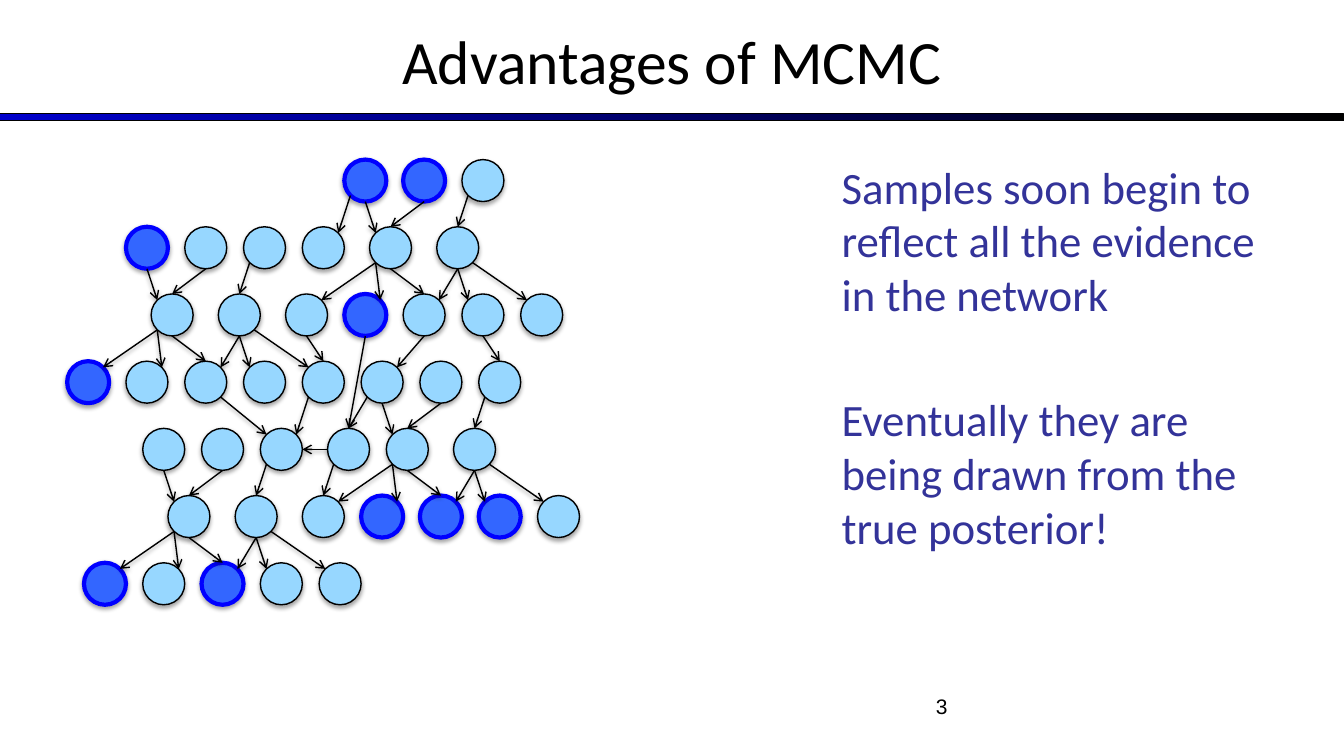
import pptx
import pptx.dml.color
import pptx.enum.shapes
import pptx.enum.text
import pptx.oxml
import pptx.oxml.ns
import pptx.util
from pptx.util import Cm

COLORS = {
    "black": "000000",
    "bar_start": "0000CC",
    "body": "333399",
    "evidence": "3366FF",
    "evidence_line": "0000FF",
    "hidden": "97D7FF",
}

# The network lies on a grid of twelve units to the inch.
UNIT = 2.54 / 12
DIAMETER = 5
FIRST_TOP = 19
ROW_STEP = 8
ROW_LEFTS = [
    [41, 48, 55],
    [15, 22, 29, 36, 44, 52],
    [18, 26, 34, 41, 48, 55, 62],
    [8, 15, 22, 29, 36, 43, 50, 57],
    [17, 24, 31, 39, 46, 54],
    [20, 28, 36, 43, 50, 57, 64],
    [10, 17, 24, 31, 38],
]
EVIDENCE = {(0, 0), (0, 1), (1, 0), (2, 3), (3, 0),
            (5, 3), (5, 4), (5, 5), (6, 0), (6, 2)}

# Points on a node's rim, in radii from its centre.
DIAGONAL = 0.71
PORTS = {
    "T": (0, -1), "B": (0, 1), "L": (-1, 0), "R": (1, 0),
    "TL": (-DIAGONAL, -DIAGONAL), "TR": (DIAGONAL, -DIAGONAL),
    "BL": (-DIAGONAL, DIAGONAL), "BR": (DIAGONAL, DIAGONAL),
}

# Per row: parent column, its port, child column in the next row, its port.
EDGES_DOWN = [
    [(0, "BL", 3, "TR"), (0, "B", 4, "TL"), (1, "B", 4, "T"), (2, "BL", 5, "T")],
    [(0, "B", 0, "TL"), (1, "B", 0, "T"), (2, "BL", 1, "T"),
     (4, "BL", 2, "TR"), (4, "BL", 3, "TR"), (4, "B", 4, "T"),
     (5, "B", 5, "TL"), (5, "BR", 6, "TL"), (5, "B", 4, "TR")],
    [(0, "BL", 0, "TR"), (0, "BL", 1, "TR"), (0, "B", 2, "T"),
     (1, "B", 3, "TL"), (1, "BR", 4, "TL"), (1, "B", 2, "TR"),
     (2, "B", 4, "T"), (4, "B", 5, "TR"), (5, "B", 7, "T")],
    [(5, "B", 4, "TL"), (6, "B", 4, "T"), (7, "BL", 5, "T"),
     (4, "BL", 2, "TR"), (2, "BR", 2, "TL"), (5, "BL", 3, "T")],
    [(0, "B", 0, "TL"), (1, "B", 0, "T"), (2, "BL", 1, "T"), (3, "BL", 2, "T"),
     (4, "BL", 2, "TR"), (4, "BL", 3, "TR"), (4, "B", 4, "T"),
     (5, "B", 5, "TL"), (5, "BR", 6, "TL"), (5, "B", 4, "TR")],
    [(0, "BL", 0, "TR"), (0, "BL", 1, "TR"), (0, "B", 2, "T"),
     (1, "B", 3, "TL"), (1, "BR", 4, "TL"), (1, "B", 2, "TR")],
]
OTHER_EDGES = [
    ((2, 3), "B", (4, 3), "T"),
    ((4, 3), "L", (4, 2), "R"),
]


def rgb(name):
    return pptx.dml.color.RGBColor.from_string(COLORS[name])


def set_line(line, color, width):
    line.color.rgb = rgb(color)
    line.width = pptx.util.Pt(width)


def add_shadow(shape, opacity, distance):
    """Put a soft shadow below a shape or connector whose line is already set."""
    properties = shape._element.spPr
    for old_effects in properties.findall(pptx.oxml.ns.qn("a:effectLst")):
        properties.remove(old_effects)
    properties.append(pptx.oxml.parse_xml(
        f'<a:effectLst {pptx.oxml.ns.nsdecls("a")}>'
        f'<a:outerShdw blurRad="{pptx.util.Pt(3.1)}" dist="{pptx.util.Pt(distance)}"'
        ' dir="5400000" rotWithShape="0">'
        f'<a:srgbClr val="{COLORS["black"]}"><a:alpha val="{opacity * 1000}"/></a:srgbClr>'
        '</a:outerShdw></a:effectLst>'))


def node_corner(node):
    row, column = node
    return ROW_LEFTS[row][column], FIRST_TOP + row * ROW_STEP


def port_position(node, port):
    radius = DIAMETER / 2
    return [Cm((corner + radius + offset * radius) * UNIT)
            for corner, offset in zip(node_corner(node), PORTS[port])]


def add_node(slide, node):
    left, top = node_corner(node)
    shape = slide.shapes.add_shape(
        pptx.enum.shapes.MSO_SHAPE.OVAL, Cm(left * UNIT), Cm(top * UNIT),
        Cm(DIAMETER * UNIT), Cm(DIAMETER * UNIT))
    is_evidence = node in EVIDENCE
    shape.fill.solid()
    shape.fill.fore_color.rgb = rgb("evidence" if is_evidence else "hidden")
    if is_evidence:
        set_line(shape.line, "evidence_line", 3)
    else:
        set_line(shape.line, "black", 1)
    add_shadow(shape, 35, 1.8)


def add_edge(slide, parent, parent_port, child, child_port):
    connector = slide.shapes.add_connector(
        pptx.enum.shapes.MSO_CONNECTOR.STRAIGHT,
        *port_position(parent, parent_port), *port_position(child, child_port))
    set_line(connector.line, "black", 1)
    connector.line._get_or_add_ln().append(pptx.oxml.parse_xml(
        f'<a:tailEnd {pptx.oxml.ns.nsdecls("a")} type="arrow"/>'))
    add_shadow(connector, 38, 1.6)


def add_network(slide):
    nodes = [(row, column) for row, lefts in enumerate(ROW_LEFTS)
             for column in range(len(lefts))]
    edges = [((row, parent), parent_port, (row + 1, child), child_port)
             for row, row_edges in enumerate(EDGES_DOWN)
             for parent, parent_port, child, child_port in row_edges]
    for node in nodes:
        if node in EVIDENCE:
            add_node(slide, node)
    for edge in edges + OTHER_EDGES:
        add_edge(slide, *edge)
    for node in nodes:
        if node not in EVIDENCE:
            add_node(slide, node)


def add_title_bar(slide):
    bar = slide.shapes.add_shape(
        pptx.enum.shapes.MSO_SHAPE.RECTANGLE, Cm(0), Cm(2.87), Cm(33.87), Cm(0.18))
    bar.shadow.inherit = False
    bar.fill.gradient()
    bar.fill.gradient_angle = 0
    for stop, color in zip(bar.fill.gradient_stops, ("bar_start", "black")):
        stop.color.rgb = rgb(color)
    set_line(bar.line, "black", 0.75)


def add_text(slide, box, text, font, size, color, align, anchor="TOP", gap=0):
    """Add a text box; gap is the space in points between its paragraphs."""
    frame = slide.shapes.add_textbox(*[Cm(length) for length in box]).text_frame
    frame.word_wrap = True
    frame.vertical_anchor = getattr(pptx.enum.text.MSO_ANCHOR, anchor)
    frame.text = text
    for index, paragraph in enumerate(frame.paragraphs):
        paragraph.alignment = getattr(pptx.enum.text.PP_ALIGN, align)
        if index:
            paragraph.space_before = pptx.util.Pt(gap)
        for run in paragraph.runs:
            run.font.name = font
            run.font.size = pptx.util.Pt(size)
            run.font.color.rgb = rgb(color)


def main():
    presentation = pptx.Presentation()
    presentation.slide_width = Cm(33.87)
    presentation.slide_height = Cm(19.05)
    slide = presentation.slides.add_slide(presentation.slide_layouts[6])

    add_title_bar(slide)
    add_text(slide, (0, -0.08, 33.87, 3.18), "Advantages of MCMC",
             "Calibri", 44, "black", "CENTER", anchor="MIDDLE")
    add_text(slide, (20.96, 3.89, 11.79, 13.13),
             "Samples soon begin to reflect all the evidence in the network\n"
             "Eventually they are being drawn from the true posterior!",
             "Calibri", 32, "body", "LEFT", gap=51)
    add_text(slide, (18.21, 17.35, 5.92, 1.32), "3", "Arial", 15, "black", "RIGHT")
    add_network(slide)

    presentation.save("out.pptx")


if __name__ == "__main__":
    main()
